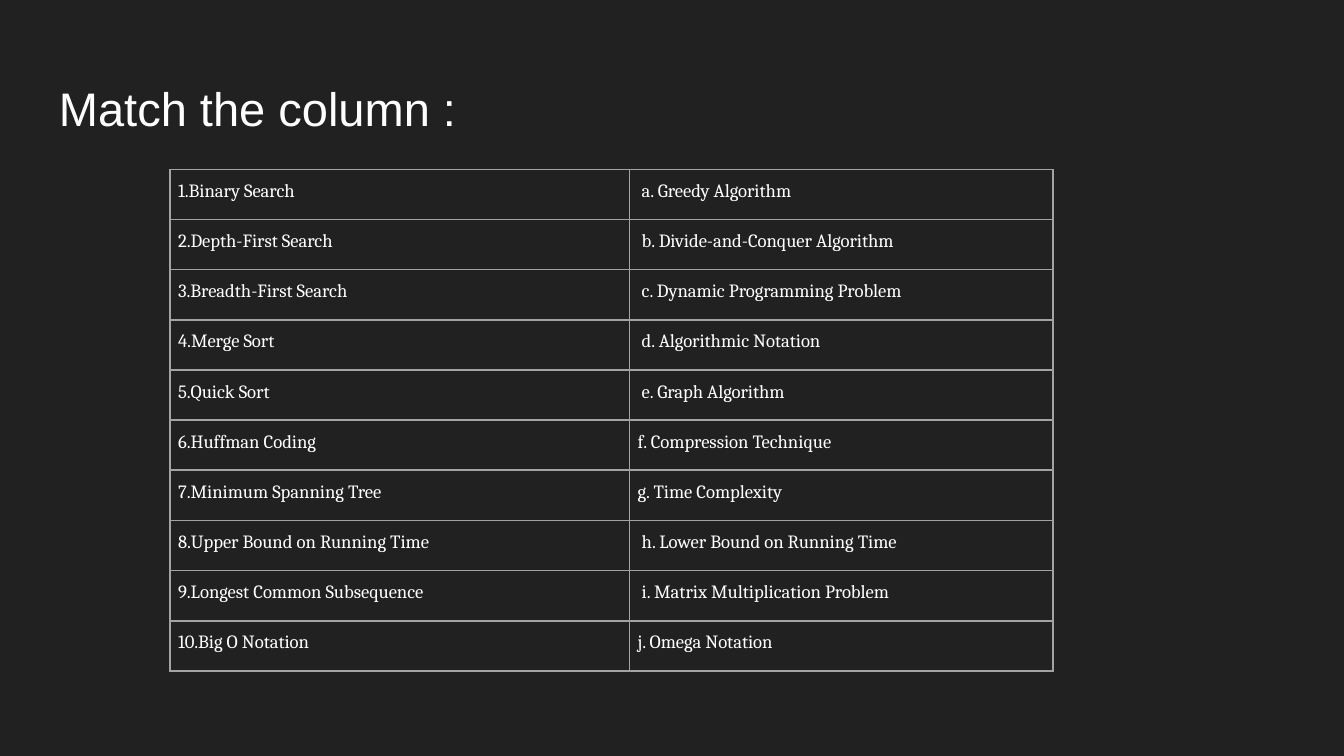
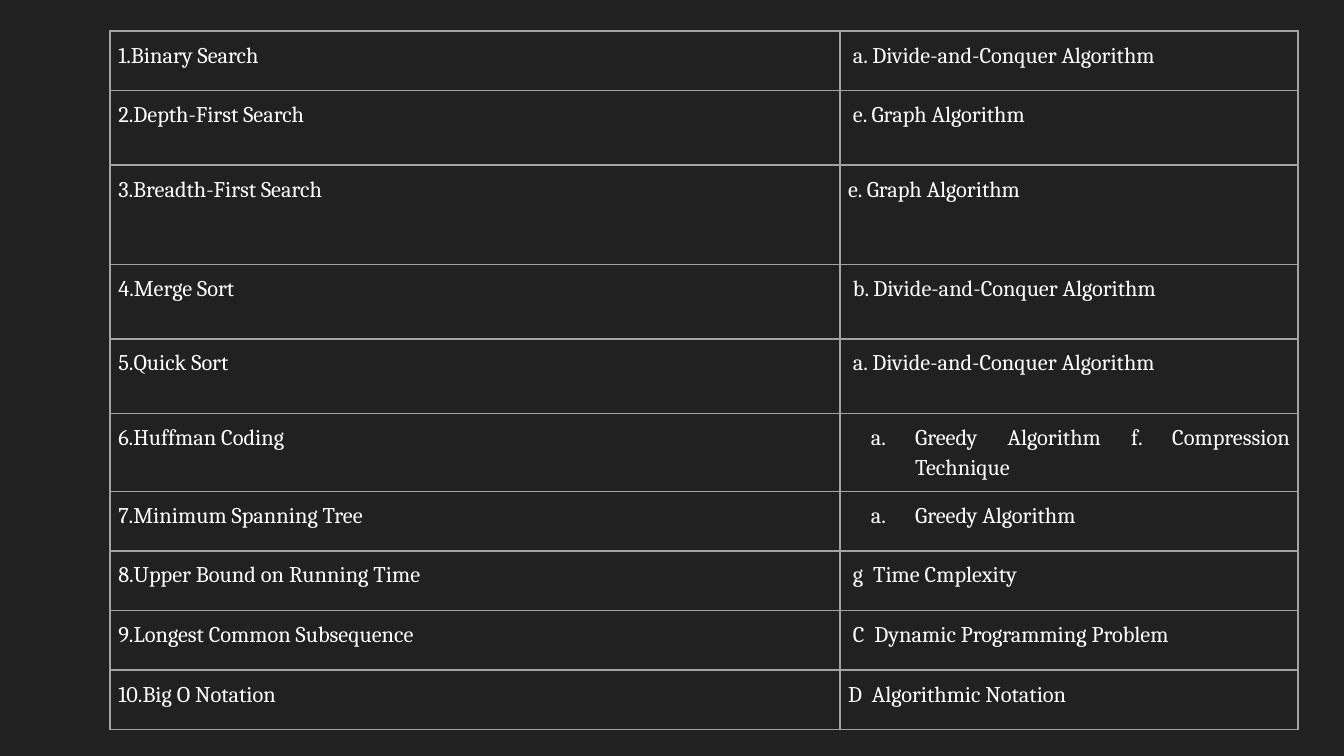
"""Build a match-the-column quiz and its answer table."""
from dataclasses import dataclass

from lxml.etree import SubElement as Sub
from pptx import Presentation
from pptx.dml.color import RGBColor as Rgb
from pptx.enum.text import MSO_ANCHOR as Anchor, PP_ALIGN as Align
from pptx.oxml.ns import qn
from pptx.util import Inches, Pt

HUES = {"back": "212121", "text": "FFFFFF", "rule": "A3A3A3"}
WIDE = Inches(10)
HIGH = WIDE * 9 // 16
PAD = Inches(0.06)
RULE = Pt(0.97)

TOPICS = (
    "Binary Search", "Depth-First Search", "Breadth-First Search",
    "Merge Sort", "Quick Sort", "Huffman Coding", "Minimum Spanning Tree",
    "Upper Bound on Running Time", "Longest Common Subsequence",
    "Big O Notation",
)
CHOICES = (
    " a. Greedy Algorithm", " b. Divide-and-Conquer Algorithm",
    " c. Dynamic Programming Problem", " d. Algorithmic Notation",
    " e. Graph Algorithm", "f. Compression Technique",
    "g. Time Complexity", " h. Lower Bound on Running Time",
    " i. Matrix Multiplication Problem", "j. Omega Notation",
)
ANSWERS = (
    " a. Divide-and-Conquer Algorithm", " e. Graph Algorithm",
    "e. Graph Algorithm", " b. Divide-and-Conquer Algorithm",
    " a. Divide-and-Conquer Algorithm",
    "Greedy Algorithm f. Compression Technique", "Greedy Algorithm",
    " g  Time Cmplexity", " C  Dynamic Programming Problem",
    "D  Algorithmic Notation",
)


@dataclass(frozen=True)
class Box:
    """A frame in percent of the slide."""
    left: float
    top: float
    width: float
    height: float

    def frame(self) -> tuple[int, int, int, int]:
        """Return the frame in slide units."""
        return (int(WIDE * self.left / 100), int(HIGH * self.top / 100),
                int(WIDE * self.width / 100), int(HIGH * self.height / 100))


@dataclass(frozen=True)
class Grid:
    """A two-column table with weighted tracks and listed rows."""
    box: Box
    cols: tuple[float, ...]
    rows: tuple[int, ...]
    size: float
    right: tuple[str, ...]
    listed: tuple[int, ...] = ()


TITLE = Box(3.4, 8.7, 93.2, 11.2)
QUIZ = Grid(Box(12.65, 22.4, 65.7, 66.4), (3.42, 3.15), (1,) * 10, 10, CHOICES)
KEY = Grid(Box(8.2, 4.1, 88.4, 92), (5.43, 3.41),
           (12, 15, 20, 15, 15, 15, 12, 12, 12, 12), 12, ANSWERS, (5, 6))


def add_run(para, text: str, size: float, font: str) -> None:
    """Add one run in the text colour."""
    run = para.add_run()
    run.text = text
    run.font.size = Pt(size)
    run.font.name = font
    run.font.color.rgb = Rgb.from_string(HUES["text"])


def add_hue(node, name: str) -> None:
    """Add a named colour to an XML node."""
    Sub(node, qn("a:srgbClr"), val=HUES[name])


def set_list(para) -> None:
    """Give a paragraph a hanging lower-case letter."""
    props = para._p.get_or_add_pPr()
    props.set("marL", str(Inches(0.5)))
    props.set("indent", str(Inches(-0.33)))
    add_hue(Sub(props, qn("a:buClr")), "text")
    Sub(props, qn("a:buAutoNum"), type="alphaLcPeriod")


def set_rules(cell) -> None:
    """Draw the four borders of a cell and clear its fill."""
    props = cell._tc.get_or_add_tcPr()
    for side in "LRTB":
        line = Sub(props, qn(f"a:ln{side}"), w=str(RULE))
        add_hue(Sub(line, qn("a:solidFill")), "rule")
    cell.fill.background()


def fill_cell(cell, text: str, size: float, listed: bool) -> None:
    """Style a cell and write its text."""
    cell.margin_left = cell.margin_right = PAD
    cell.margin_top = cell.margin_bottom = PAD
    cell.vertical_anchor = Anchor.TOP
    set_rules(cell)
    para = cell.text_frame.paragraphs[0]
    para.alignment = Align.JUSTIFY
    para.line_spacing = 1.15
    if listed:
        set_list(para)
    add_run(para, text, size, "Cambria")


def add_grid(slide, grid: Grid) -> None:
    """Draw the topics beside their right-hand column."""
    frame = grid.box.frame()
    table = slide.shapes.add_table(len(grid.rows), len(grid.cols), *frame).table
    table.first_row = table.horz_banding = False
    for col, part in zip(table.columns, grid.cols):
        col.width = int(frame[2] * part / sum(grid.cols))
    for row, part in zip(table.rows, grid.rows):
        row.height = int(frame[3] * part / sum(grid.rows))
    for num, (topic, reply) in enumerate(zip(TOPICS, grid.right)):
        fill_cell(table.cell(num, 0), f"{num + 1}.{topic}", grid.size, False)
        fill_cell(table.cell(num, 1), reply, grid.size, num in grid.listed)


def add_title(slide, text: str) -> None:
    """Write the slide title."""
    frame = slide.shapes.add_textbox(*TITLE.frame()).text_frame
    frame.word_wrap = True
    frame.margin_left = frame.margin_right = Inches(0.1)
    frame.margin_top = frame.margin_bottom = Inches(0.1)
    add_run(frame.paragraphs[0], text, 25.2, "Arial")


def add_slide(deck):
    """Add a blank slide with the shared dark background."""
    slide = deck.slides.add_slide(deck.slide_layouts[6])
    fill = slide.background.fill
    fill.solid()
    fill.fore_color.rgb = Rgb.from_string(HUES["back"])
    return slide


def main() -> None:
    """Build and save the deck."""
    deck = Presentation()
    deck.slide_width, deck.slide_height = WIDE, HIGH
    quiz = add_slide(deck)
    add_title(quiz, "Match the column :")
    add_grid(quiz, QUIZ)
    add_grid(add_slide(deck), KEY)
    deck.save("out.pptx")


main()
